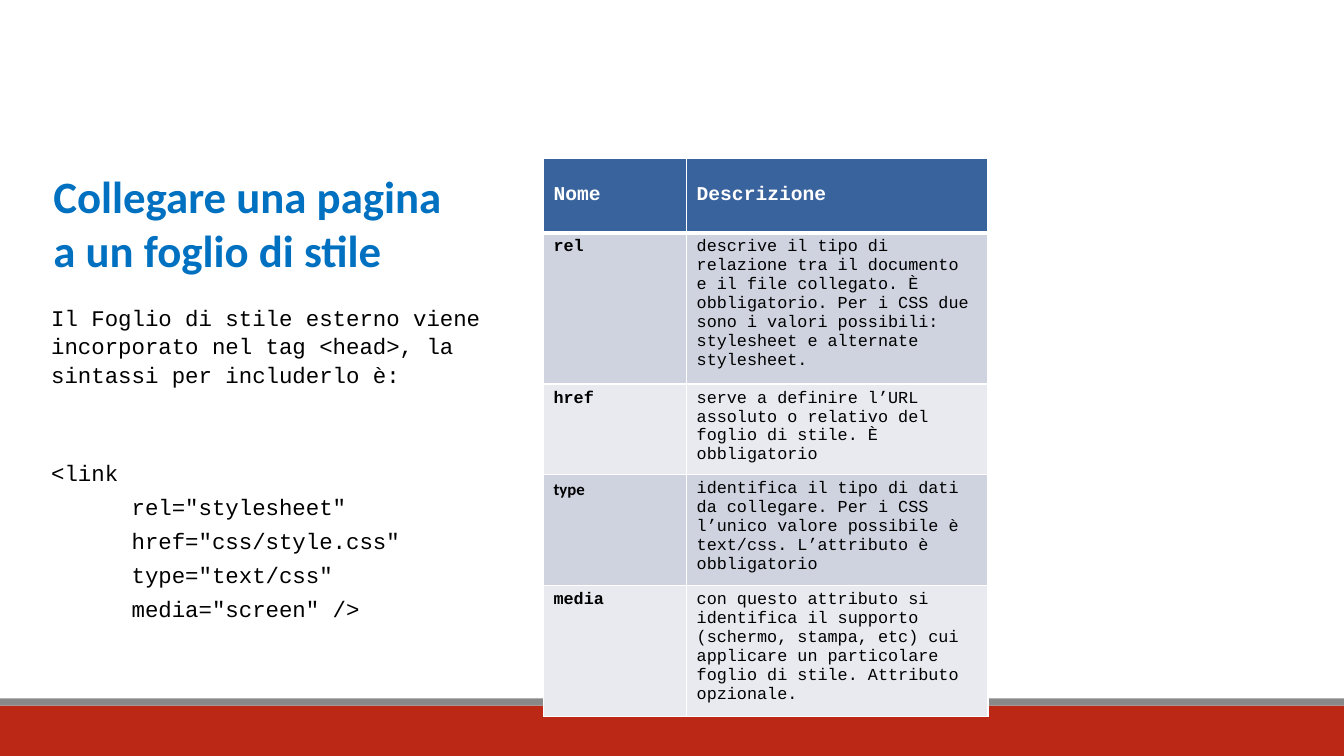
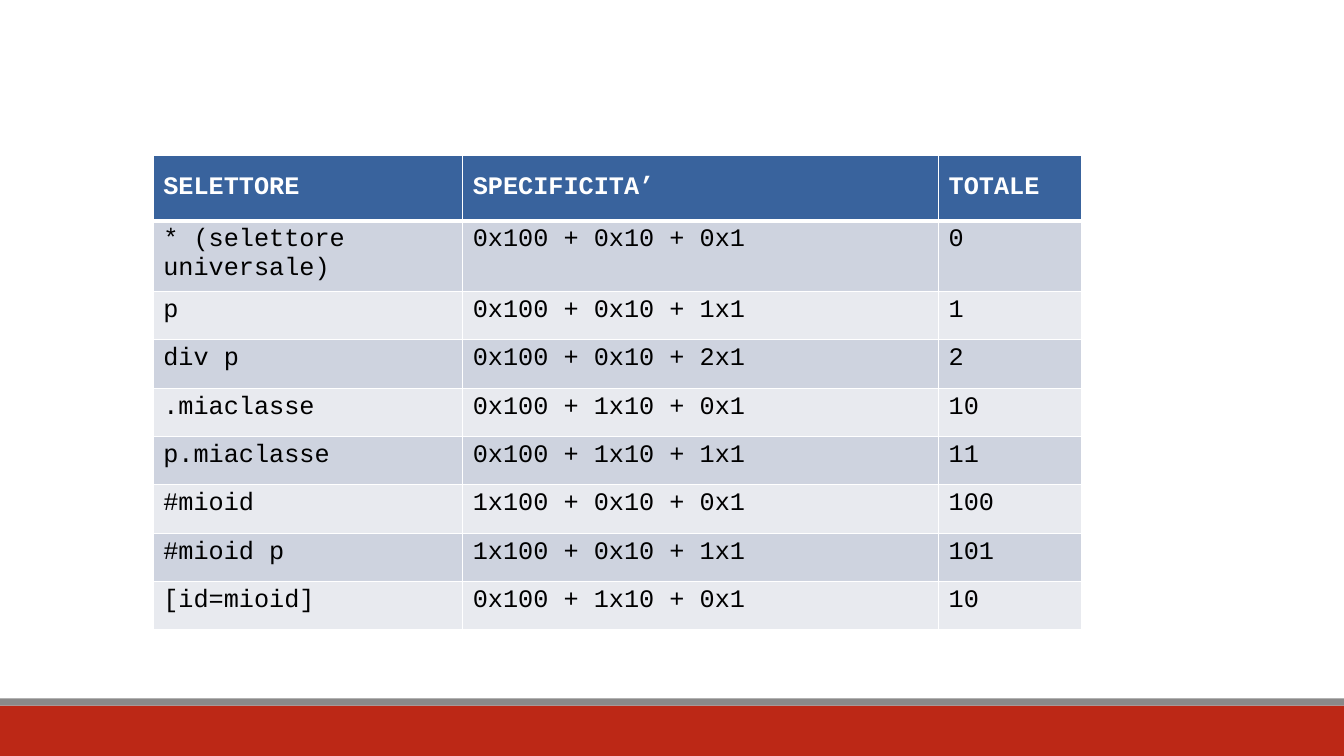
from dataclasses import dataclass

from lxml.etree import SubElement
from pptx import Presentation
from pptx.dml.color import RGBColor
from pptx.enum.shapes import MSO_SHAPE
from pptx.enum.text import MSO_ANCHOR, MSO_AUTO_SIZE, PP_ALIGN
from pptx.oxml.ns import qn
from pptx.util import Inches, Pt


@dataclass(frozen=True)
class Theme:
    heading_font: str = "Calibri"
    code_font: str = "Courier New"
    title_size: int = 32
    body_size: int = 16
    body_spacing: float = 1.06
    paragraph_gap: int = 4
    code_gap: int = 50
    title: str = "0070C0"
    text: str = "000000"
    white: str = "FFFFFF"
    band: str = "BC2816"
    stripe: str = "8A8989"
    header: str = "39639D"
    rows: tuple = ("CED3DF", "E8EAEF")
    border: int = 1
    header_border: int = 3


class Deck:
    TITLE_ONLY, BLANK = 5, 6

    def __init__(self, theme):
        self.theme = theme
        self.presentation = Presentation()
        self.presentation.slide_width = Inches(13.33)
        self.presentation.slide_height = Inches(7.5)
        self.slide = None

    def new_slide(self, layout):
        layouts = self.presentation.slide_layouts
        self.slide = self.presentation.slides.add_slide(layouts[layout])
        self.band(7, 0.5, self.theme.band)
        self.band(6.93, 0.07, self.theme.stripe)

    def band(self, top, height, color):
        shape = self.slide.shapes.add_shape(
            MSO_SHAPE.RECTANGLE, 0, Inches(top), self.presentation.slide_width, Inches(height))
        shape.shadow.inherit = False
        shape.fill.solid()
        shape.fill.fore_color.rgb = RGBColor.from_string(color)
        shape.line.fill.background()

    def format_runs(self, paragraph, size, color, bold=False, font=None):
        for run in paragraph.runs:
            run.font.name = font or self.theme.code_font
            run.font.size = Pt(size)
            run.font.bold = bold
            run.font.color.rgb = RGBColor.from_string(color)

    def title(self, text, left, top, width, height):
        theme = self.theme
        shape = self.slide.shapes.title
        shape.left, shape.top = Inches(left), Inches(top)
        shape.width, shape.height = Inches(width), Inches(height)
        frame = shape.text_frame
        frame.auto_size = MSO_AUTO_SIZE.NONE
        frame.vertical_anchor = MSO_ANCHOR.BOTTOM
        frame.text = text
        for paragraph in frame.paragraphs:
            paragraph.alignment = PP_ALIGN.LEFT
            self.format_runs(paragraph, theme.title_size, theme.title, True, theme.heading_font)

    def code_example(self, intro, code, left, top, width, height):
        """Place an introduction with a code listing below it."""
        theme = self.theme
        box = self.slide.shapes.add_textbox(
            Inches(left), Inches(top), Inches(width), Inches(height))
        frame = box.text_frame
        frame.word_wrap = True
        frame.text = "\n".join([intro, *code])
        gaps = [0, theme.code_gap] + [theme.paragraph_gap] * (len(code) - 1)
        for paragraph, gap in zip(frame.paragraphs, gaps):
            paragraph.space_before = Pt(gap)
            paragraph.line_spacing = theme.body_spacing
            self.format_runs(paragraph, theme.body_size, theme.text)

    def cell_borders(self, cell, top, bottom):
        properties = cell._tc.get_or_add_tcPr()
        side_width = self.theme.border
        for side, width in (("L", side_width), ("R", side_width), ("T", top), ("B", bottom)):
            line = SubElement(properties, qn(f"a:ln{side}"), w=str(Pt(width)))
            fill = SubElement(line, qn("a:solidFill"))
            SubElement(fill, qn("a:srgbClr"), val=self.theme.white)

    def table(self, rows, left, top, widths, heights, header_size, body_size, bold_labels=False):
        theme = self.theme
        table = self.slide.shapes.add_table(
            len(rows), len(widths), Inches(left), Inches(top),
            Inches(sum(widths)), Inches(sum(heights))).table
        for column, width in zip(table.columns, widths):
            column.width = Inches(width)
        for row_index, (values, height) in enumerate(zip(rows, heights)):
            table.rows[row_index].height = Inches(height)
            is_header = row_index == 0
            fill = theme.header if is_header else theme.rows[(row_index - 1) % 2]
            for column_index, value in enumerate(values):
                cell = table.cell(row_index, column_index)
                self.cell_borders(
                    cell,
                    theme.header_border if row_index == 1 else theme.border,
                    theme.header_border if is_header else theme.border)
                cell.fill.solid()
                cell.fill.fore_color.rgb = RGBColor.from_string(fill)
                cell.vertical_anchor = MSO_ANCHOR.MIDDLE if is_header else MSO_ANCHOR.TOP
                cell.text = value
                self.format_runs(
                    cell.text_frame.paragraphs[0],
                    header_size if is_header else body_size,
                    theme.white if is_header else theme.text,
                    is_header or (bold_labels and column_index == 0))
        return table


ATTRIBUTES = [
    ("Nome", "Descrizione"),
    ("rel", "descrive il tipo di relazione tra il documento e il file collegato. "
            "È obbligatorio. Per i CSS due sono i valori possibili: "
            "stylesheet e alternate stylesheet."),
    ("href", "serve a definire l’URL assoluto o relativo del foglio di stile. È obbligatorio"),
    ("type", "identifica il tipo di dati da collegare. Per i CSS l’unico valore "
             "possibile è text/css. L’attributo è obbligatorio"),
    ("media", "con questo attributo si identifica il supporto (schermo, stampa, etc) "
              "cui applicare un particolare foglio di stile. Attributo opzionale."),
]

LINK_CODE = [
    '<link',
    '      rel="stylesheet"',
    '      href="css/style.css"',
    '      type="text/css"',
    '      media="screen" />',
]

SPECIFICITY = [
    ("SELETTORE", "SPECIFICITA’", "TOTALE"),
    ("* (selettore universale)", "0x100 + 0x10 + 0x1", "0"),
    ("p", "0x100 + 0x10 + 1x1", "1"),
    ("div p", "0x100 + 0x10 + 2x1", "2"),
    (".miaclasse", "0x100 + 1x10 + 0x1", "10"),
    ("p.miaclasse", "0x100 + 1x10 + 1x1", "11"),
    ("#mioid", "1x100 + 0x10 + 0x1", "100"),
    ("#mioid p", "1x100 + 0x10 + 1x1", "101"),
    ("[id=mioid]", "0x100 + 1x10 + 0x1", "10"),
]


def add_stylesheet_link_slide(deck):
    deck.new_slide(Deck.TITLE_ONLY)
    deck.code_example(
        "Il Foglio di stile esterno viene incorporato nel tag <head>, "
        "la sintassi per includerlo è:",
        LINK_CODE, 0.41, 2.95, 4.97, 3.46)
    deck.title("Collegare una pagina\na un foglio di stile", 0.43, 1.55, 4.96, 1.24)
    table = deck.table(
        ATTRIBUTES, 5.39, 1.57, widths=[1.42, 2.99], heights=[0.74, 1.23, 0.79, 1.01, 1.01],
        header_size=14, body_size=12, bold_labels=True)
    type_label = table.cell(3, 0).text_frame.paragraphs[0]
    type_label.runs[0].font.name = deck.theme.heading_font


def add_specificity_slide(deck):
    deck.new_slide(Deck.BLANK)
    deck.table(
        SPECIFICITY, 1.52, 1.54, widths=[3.07, 4.72, 1.42],
        heights=[0.65] + [0.48] * (len(SPECIFICITY) - 1), header_size=18, body_size=18)


def main():
    deck = Deck(Theme())
    add_stylesheet_link_slide(deck)
    add_specificity_slide(deck)
    deck.presentation.save("out.pptx")


if __name__ == "__main__":
    main()
